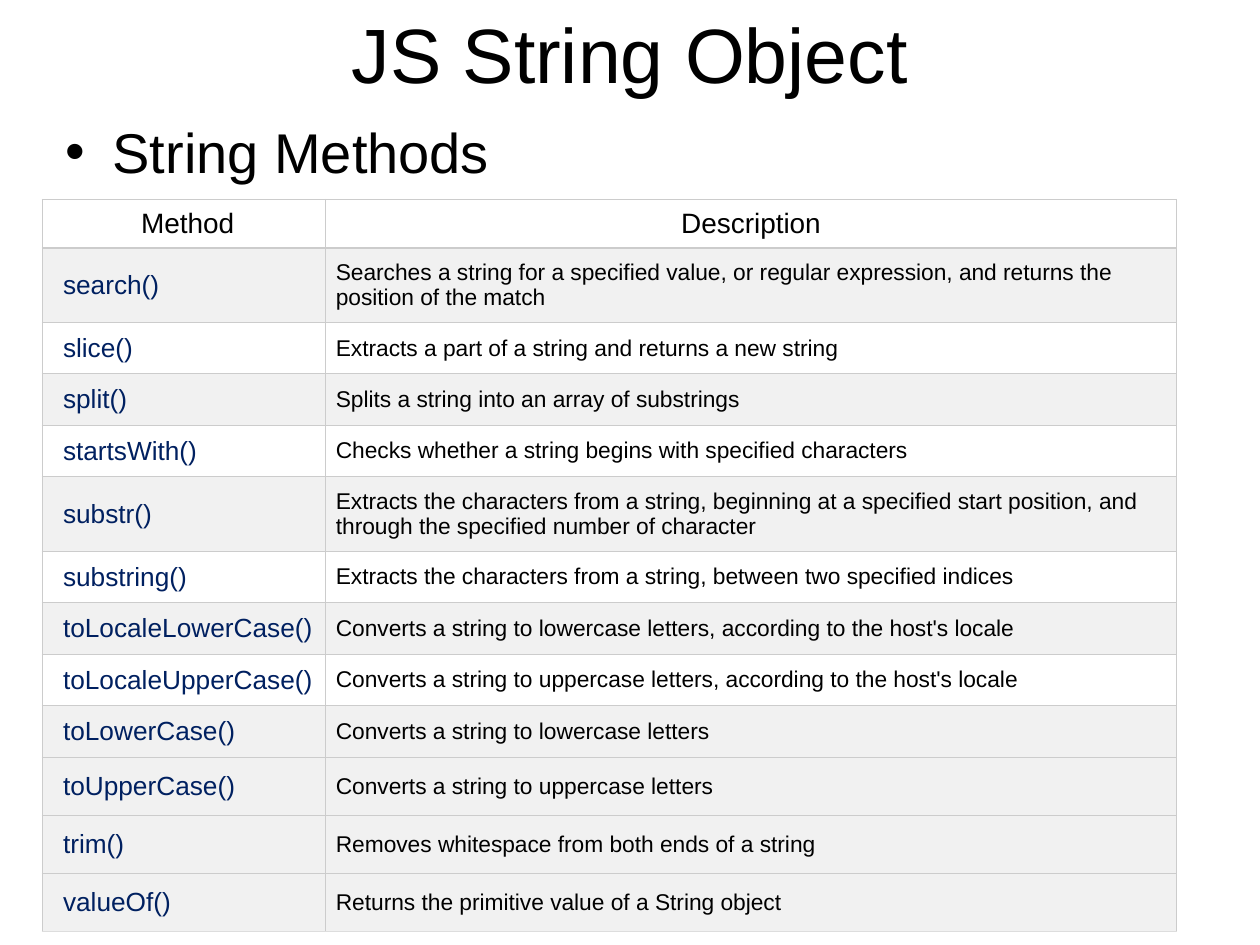
from lxml import etree
from pptx import Presentation
from pptx.dml.color import RGBColor
from pptx.enum.text import MSO_ANCHOR, PP_ALIGN
from pptx.oxml.ns import qn
from pptx.util import Cm, Pt

LEFT, CENTER = PP_ALIGN.LEFT, PP_ALIGN.CENTER
TOP, MIDDLE = MSO_ANCHOR.TOP, MSO_ANCHOR.MIDDLE

COLORS = {
    "text": "000000",
    "method": "002060",
    "plain": "FFFFFF",
    "shaded": "F1F1F1",
    "rule": "CCCCCC",
    "last_rule": "DDDDDD",
}

HEADINGS = ("Method", "Description")
HEADING_HEIGHT = 0.94
COLUMN_WIDTHS = (5.72, 17.14)
# Method, description, row height in cm
METHODS = [
    ("search()", "Searches a string for a specified value, or regular expression, "
     "and returns the position of the match", 1.47),
    ("slice()", "Extracts a part of a string and returns a new string", 1.02),
    ("split()", "Splits a string into an array of substrings", 1.02),
    ("startsWith()", "Checks whether a string begins with specified characters", 1.02),
    ("substr()", "Extracts the characters from a string, beginning at a specified "
     "start position, and through the specified number of character", 1.47),
    ("substring()", "Extracts the characters from a string, between two specified "
     "indices", 1.02),
    ("toLocaleLowerCase()", "Converts a string to lowercase letters, according to "
     "the host's locale", 1.04),
    ("toLocaleUpperCase()", "Converts a string to uppercase letters, according to "
     "the host's locale", 1.04),
    ("toLowerCase()", "Converts a string to lowercase letters", 1.02),
    ("toUpperCase()", "Converts a string to uppercase letters", 1.17),
    ("trim()", "Removes whitespace from both ends of a string", 1.17),
    ("valueOf()", "Returns the primitive value of a String object", 1.17),
]
BANDING_END = 8  # every row from here on is shaded


def write_text(frame, text, size, color="text", font="Arial", align=LEFT, bullet_indent=None):
    """Fill a text frame; bullet_indent is the hanging indent in cm."""
    paragraph = frame.paragraphs[0]
    paragraph.text = text
    paragraph.alignment = align
    if bullet_indent:
        properties = paragraph._p.get_or_add_pPr()
        properties.set("marL", str(Cm(bullet_indent)))
        properties.set("indent", str(-Cm(bullet_indent)))
        etree.SubElement(properties, qn("a:buFont"), typeface="Arial")
        etree.SubElement(properties, qn("a:buChar"), char="•")
    paragraph.font.name = font
    paragraph.font.size = Pt(size)
    paragraph.font.color.rgb = RGBColor.from_string(COLORS[color])


class SlideBuilder:
    """Holds the current slide and the table style."""

    rule_width = Pt(0.75)

    def __init__(self, slide):
        self.slide = slide

    def text_box(self, text, left, top, width, height, anchor=TOP, margin_top=0.13, **style):
        box = self.slide.shapes.add_textbox(Cm(left), Cm(top), Cm(width), Cm(height))
        frame = box.text_frame
        frame.word_wrap = True
        frame.vertical_anchor = anchor
        frame.margin_top = Cm(margin_top)
        write_text(frame, text, **style)

    def table(self, left, top, widths, heights):
        frame = self.slide.shapes.add_table(
            len(heights), len(widths), Cm(left), Cm(top), Cm(sum(widths)), Cm(sum(heights)))
        for column, width in zip(frame.table.columns, widths):
            column.width = Cm(width)
        for row, height in zip(frame.table.rows, heights):
            row.height = Cm(height)
        return frame.table

    def cell(self, cell, text, fill, margin, margin_left, bottom_rule="rule", **style):
        cell.vertical_anchor = MIDDLE
        cell.margin_left = Cm(margin_left)
        cell.margin_top = cell.margin_right = cell.margin_bottom = Cm(margin)
        write_text(cell.text_frame, text, **style)
        self.borders(cell, bottom_rule)
        cell.fill.solid()
        cell.fill.fore_color.rgb = RGBColor.from_string(COLORS[fill])

    def borders(self, cell, bottom_rule):
        """Draw all four edges; call before the fill, which must follow them."""
        properties = cell._tc.get_or_add_tcPr()
        for edge in ("lnL", "lnR", "lnT", "lnB"):
            line = etree.SubElement(properties, qn(f"a:{edge}"), w=str(self.rule_width))
            solid = etree.SubElement(line, qn("a:solidFill"))
            color = COLORS[bottom_rule if edge == "lnB" else "rule"]
            etree.SubElement(solid, qn("a:srgbClr"), val=color)


def main():
    presentation = Presentation()
    presentation.slide_width, presentation.slide_height = Cm(25.4), Cm(19.05)
    builder = SlideBuilder(presentation.slides.add_slide(presentation.slide_layouts[6]))

    builder.text_box("JS String Object", 1.27, 0, 22.86, 2.11,
                     anchor=MIDDLE, size=44, align=CENTER)
    builder.text_box("String Methods", 1.07, 2.11, 22.86, 12.57,
                     margin_top=0.25, size=32, bullet_indent=0.95)

    heights = [HEADING_HEIGHT] + [height for _, _, height in METHODS]
    table = builder.table(0.85, 4.02, COLUMN_WIDTHS, heights)
    for column, (heading, margin_left) in enumerate(zip(HEADINGS, (0.3, 0.15))):
        builder.cell(table.cell(0, column), heading, "plain", 0.15, margin_left,
                     size=16, align=CENTER)
    for index, (method, description, _) in enumerate(METHODS):
        fill = "shaded" if index % 2 == 0 or index >= BANDING_END else "plain"
        bottom_rule = "last_rule" if index == len(METHODS) - 1 else "rule"
        builder.cell(table.cell(index + 1, 0), method, fill, 0.2, 0.42, bottom_rule,
                     size=15, color="method")
        builder.cell(table.cell(index + 1, 1), description, fill, 0.2, 0.2, bottom_rule,
                     size=13)

    presentation.save("out.pptx")


if __name__ == "__main__":
    main()
